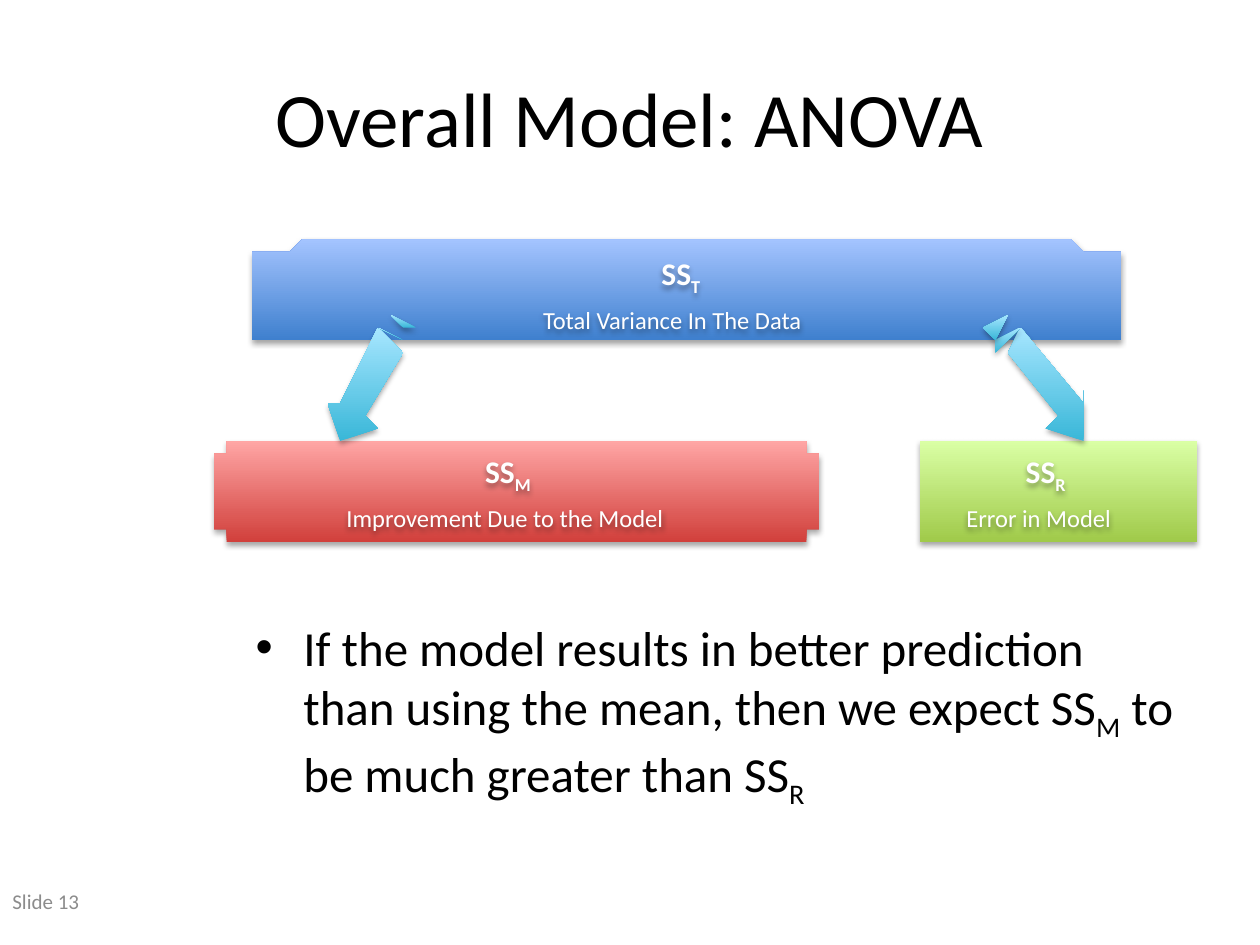
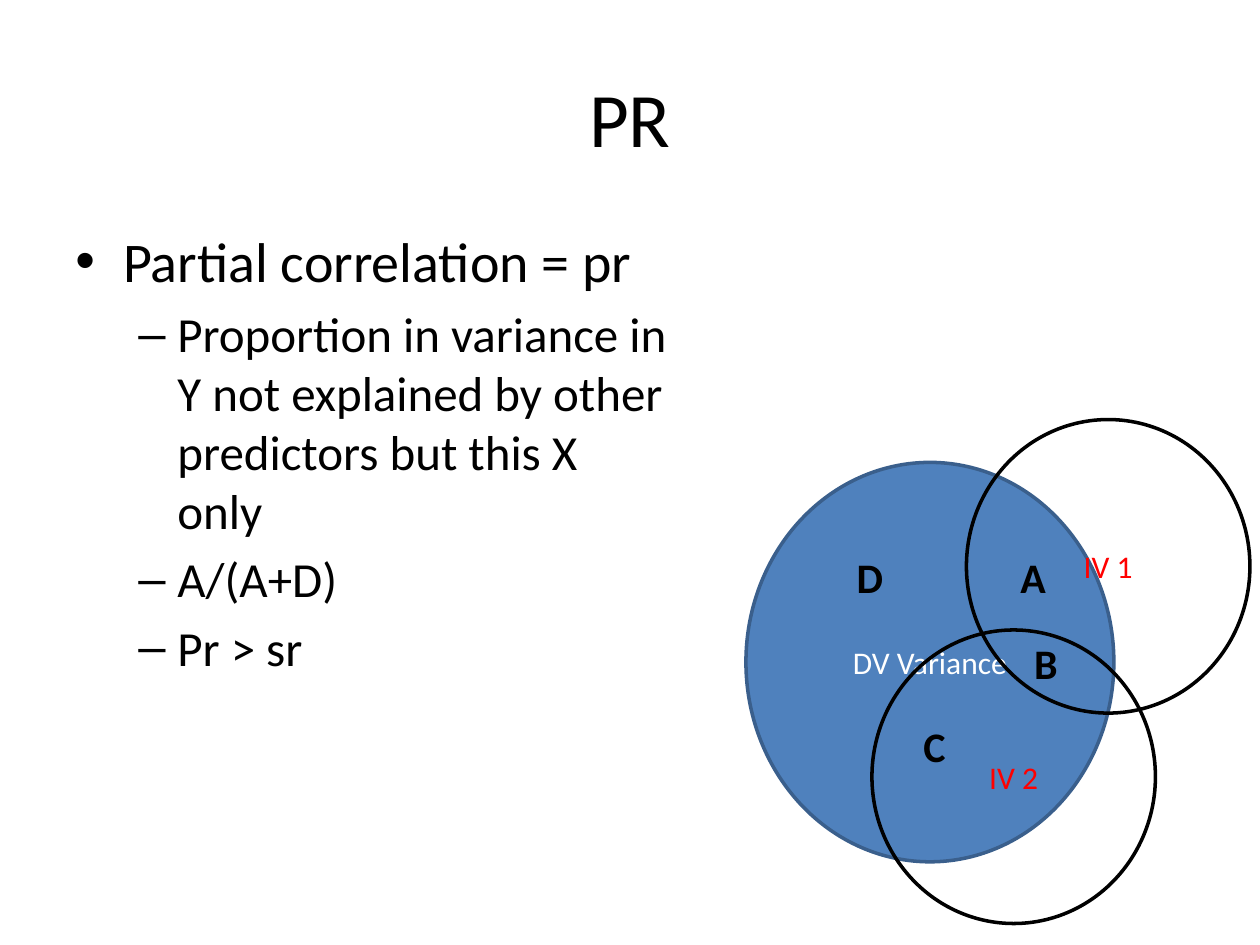
"""Build two statistics slides: the ANOVA variance split and partial correlation."""
import math
from dataclasses import dataclass
from typing import NamedTuple

from lxml import etree
from pptx import Presentation
from pptx import util as u
from pptx.dml import color
from pptx.enum import shapes, text
from pptx.oxml import ns

WIDTH, HEIGHT = u.Inches(10), u.Inches(7.5)
COLUMNS, ROWS = 100, 75


@dataclass(frozen=True)
class Theme:
    """Colours, font and type sizes of the deck."""
    font: str = "Calibri"
    ink: str = "000000"
    paper: str = "FFFFFF"
    muted: str = "8C8C8C"
    accent: str = "FF0000"
    variance: str = "4F81BD"
    variance_edge: str = "3A5F8C"
    blue: tuple = ("3F80CE", "A4C4FF")
    red: tuple = ("D1403C", "FFA6A5")
    green: tuple = ("A0CA4A", "DAFFA5")
    aqua: tuple = ("39B7D8", "A7E6FF")
    title: int = 44
    bullet: int = 32
    detail: int = 28
    region: int = 24
    label: int = 18
    caption: int = 14
    footer: int = 12


THEME = Theme()


class Area(NamedTuple):
    """A rectangle in grid columns and rows."""
    left: float
    top: float
    width: float
    height: float

    def emu(self) -> tuple:
        """Return the rectangle in slide units."""
        across, down = WIDTH / COLUMNS, HEIGHT / ROWS
        return tuple(round(v * s) for v, s in zip(self, (across, down) * 2))


class Style(NamedTuple):
    """The look of a run of text."""
    size: int
    ink: str = THEME.ink
    bold: bool = False


class Bullet(NamedTuple):
    """A list item with its mark and indents in inches."""
    words: str
    size: int
    mark: str = "–"
    margin: float = 0.81
    hang: float = 0.31


class Bar(NamedTuple):
    """A sum of squares with its label and caption."""
    area: Area
    corner: float
    gradient: tuple
    symbol: str
    symbol_span: tuple
    caption: str
    caption_span: tuple


class Circle(NamedTuple):
    """A circle of the Venn diagram."""
    area: Area
    words: str
    ink: str
    edge: str
    fill: str = ""


TITLE = Area(5, 3, 90, 12.5)
FOOTER = Area(0, 69.5, 9.4, 4)
BAR_HEIGHT, BAR_CURVE = 7.9, 1
CORNERS = ((1, 1), (0, 1), (0, 0), (1, 0))

BARS = (
    Bar(Area(72.8, 35.1, 22.6, BAR_HEIGHT), 2.1, THEME.green,
        "SS_R", (81.4, 4.5), "Error in Model", (76.7, 12.2)),
    Bar(Area(16.9, 35.1, 47.8, BAR_HEIGHT), 4.5, THEME.red,
        "SS_M", (38.5, 4.7), "Improvement Due to the Model", (27.5, 26.6)),
    Bar(Area(20.1, 19.4, 69.3, BAR_HEIGHT), 6.5, THEME.blue,
        "SS_T", (52.5, 4.4), "Total Variance In The Data", (43.1, 23.2)),
)
ARROWS = (
    ((29.6, 33.8), (28.9, 33.3), (31.7, 27.6), (30.1, 26.4),
     (27.2, 32.2), (26.4, 31.6), (26.9, 35.1)),
    ((32.2, 26.6), (30.5, 25.5), (30.3, 26.2), (31.9, 27.3)),
    ((32.6, 26), (30.9, 24.9), (30.7, 25.2), (32.3, 26.3)),
    ((86.4, 30.9), (85.6, 31.7), (81.2, 26.2), (79.5, 27.8),
     (83.7, 33.1), (82.9, 33.9), (86.4, 34.6)),
    ((80.6, 25.5), (78.8, 26.9), (79.3, 27.5), (81, 25.9)),
    ((80, 24.9), (78.4, 26.4), (78.6, 26.7), (80.3, 25.2)),
)
CIRCLES = (
    Circle(Area(59.2, 36.7, 29.2, 31.7), "DV Variance", THEME.paper,
           THEME.variance_edge, THEME.variance),
    Circle(Area(76.7, 33.3, 22.5, 23.3), "IV 1", THEME.accent, THEME.ink),
    Circle(Area(69.2, 50, 22.5, 23.3), "IV 2", THEME.accent, THEME.ink),
)
REGIONS = {
    "A": Area(80, 43.3, 4.3, 5),
    "B": Area(81.1, 50.1, 3.9, 5),
    "C": Area(72.3, 56.7, 3.8, 5),
    "D": Area(67, 43.3, 4.1, 5),
}
EXPECTATION = (
    Bullet("If the model results in better prediction than using the mean, "
           "then we expect SS_M_ to be much greater than SS_R",
           THEME.detail, "•", 0.38, 0.38),
)
PARTIAL = (
    Bullet("Partial correlation = pr", THEME.bullet, "•", 0.38, 0.38),
    Bullet("Proportion in variance in Y not explained by other predictors "
           "but this X only", THEME.detail),
    Bullet("A/(A+D)", THEME.detail),
    Bullet("Pr > sr", THEME.detail),
)


def apply(target, values: dict) -> None:
    """Set every named value on the target."""
    for name, value in values.items():
        setattr(target, name, value)


def rgb(code: str) -> color.RGBColor:
    """Turn a hex code into a colour."""
    return color.RGBColor.from_string(code)


def write(para, words: str, style: Style) -> None:
    """Add runs to a paragraph; parts between underscores are subscripts."""
    for index, part in enumerate(words.split("_")):
        span = para.add_run()
        span.text = part
        apply(span.font, {"name": THEME.font, "size": u.Pt(style.size),
                          "bold": style.bold})
        span.font.color.rgb = rgb(style.ink)
        if index % 2:
            span.font._element.set("baseline", "-25000")


def add_text(page, area: Area, words: str, style: Style, **frame):
    """Place one paragraph of text, with frame settings, and return its box."""
    box = page.shapes.add_textbox(*area.emu())
    apply(box.text_frame, {"word_wrap": True, **frame})
    write(box.text_frame.paragraphs[0], words, style)
    return box


def add_label(page, area: Area, words: str, style: Style, **frame):
    """Place a text that keeps to one line and return its box."""
    return add_text(page, area, words, style, word_wrap=False,
                    auto_size=text.MSO_AUTO_SIZE.SHAPE_TO_FIT_TEXT, **frame)


def add_title(page, words: str) -> None:
    """Place the slide title."""
    box = add_text(page, TITLE, words, Style(THEME.title),
                   vertical_anchor=text.MSO_ANCHOR.MIDDLE)
    box.text_frame.paragraphs[0].alignment = text.PP_ALIGN.CENTER


def add_bullets(page, area: Area, bullets: tuple) -> None:
    """Place a bulleted list."""
    frame = page.shapes.add_textbox(*area.emu()).text_frame
    frame.word_wrap = True
    for index, bullet in enumerate(bullets):
        para = frame.add_paragraph() if index else frame.paragraphs[0]
        props = para._p.get_or_add_pPr()
        props.set("marL", str(u.Inches(bullet.margin)))
        props.set("indent", str(-u.Inches(bullet.hang)))
        etree.SubElement(props, ns.qn("a:buFont"), typeface="Arial")
        etree.SubElement(props, ns.qn("a:buChar"), char=bullet.mark)
        if index:
            para.space_before = u.Pt(bullet.size * 0.2)
        write(para, bullet.words, Style(bullet.size))


def cast_shadow(shape) -> None:
    """Give a shape a soft shadow straight below it."""
    shape.shadow.inherit = False
    effects = shape._element.spPr.find(ns.qn("a:effectLst"))
    outer = etree.SubElement(effects, ns.qn("a:outerShdw"), blurRad="40000",
                             dist="23000", dir="5400000", rotWithShape="0")
    tone = etree.SubElement(outer, ns.qn("a:srgbClr"), val=THEME.ink)
    etree.SubElement(tone, ns.qn("a:alpha"), val="35000")


def add_outline(page, points, gradient: tuple) -> None:
    """Draw a closed outline with a vertical gradient and a shadow."""
    first, *rest = points
    builder = page.shapes.build_freeform(
        *first, scale=(WIDTH / COLUMNS, HEIGHT / ROWS))
    builder.add_line_segments(rest, close=True)
    shape = builder.convert_to_shape()
    shape.fill.gradient()
    shape.fill.gradient_angle = 90
    for stop, code, position in zip(shape.fill.gradient_stops, gradient, (0, 1)):
        stop.color.rgb = rgb(code)
        stop.position = position
    shape.line.fill.background()
    cast_shadow(shape)


def rounded(area: Area, across: float, down: float, steps: int = 12) -> list:
    """Return the points of a rectangle with elliptical corners."""
    points = []
    for quarter, (right, bottom) in enumerate(CORNERS):
        x = area.left + (area.width - across if right else across)
        y = area.top + (area.height - down if bottom else down)
        for step in range(steps + 1):
            angle = (quarter + step / steps) * math.pi / 2
            points.append((x + across * math.cos(angle),
                           y + down * math.sin(angle)))
    return points


def add_bar(page, bar: Bar) -> None:
    """Draw a bar with its symbol and caption."""
    add_outline(page, rounded(bar.area, bar.corner, BAR_CURVE), bar.gradient)
    flush = dict.fromkeys(
        ("margin_left", "margin_top", "margin_right", "margin_bottom"), 0)
    lines = (
        (bar.symbol, bar.symbol_span, 0.8, 3, Style(THEME.label, THEME.paper, True)),
        (bar.caption, bar.caption_span, 4.8, 2.3, Style(THEME.caption, THEME.paper)),
    )
    for words, (left, width), drop, height, style in lines:
        area = Area(left, bar.area.top + drop, width, height)
        cast_shadow(add_label(page, area, words, style, **flush))


def add_circle(page, circle: Circle) -> None:
    """Draw one circle of the Venn diagram."""
    shape = page.shapes.add_shape(shapes.MSO_SHAPE.OVAL, *circle.area.emu())
    shape.shadow.inherit = False
    if circle.fill:
        shape.fill.solid()
        shape.fill.fore_color.rgb = rgb(circle.fill)
    else:
        shape.fill.background()
    shape.line.color.rgb = rgb(circle.edge)
    shape.line.width = u.Pt(2)
    shape.text_frame.vertical_anchor = text.MSO_ANCHOR.MIDDLE
    para = shape.text_frame.paragraphs[0]
    para.alignment = text.PP_ALIGN.CENTER
    write(para, circle.words, Style(THEME.label, circle.ink))


def build_anova(page) -> None:
    """Show how the total variance splits into model and error."""
    add_text(page, FOOTER, "Slide 13", Style(THEME.footer, THEME.muted),
             vertical_anchor=text.MSO_ANCHOR.MIDDLE)
    add_title(page, "Overall Model: ANOVA")
    add_bullets(page, Area(19.3, 48.5, 75.7, 18.5), EXPECTATION)
    for bar in BARS:
        add_bar(page, bar)
    for points in ARROWS:
        add_outline(page, points, THEME.aqua)


def build_partial(page) -> None:
    """Explain the partial correlation with a Venn diagram."""
    add_title(page, "PR")
    for circle in CIRCLES:
        add_circle(page, circle)
    for letter, area in REGIONS.items():
        add_label(page, area, letter, Style(THEME.region, bold=True))
    add_bullets(page, Area(5, 17.5, 49.2, 49.5), PARTIAL)


def main() -> None:
    """Build and save the deck."""
    deck = Presentation()
    apply(deck, {"slide_width": WIDTH, "slide_height": HEIGHT})
    for build in (build_anova, build_partial):
        build(deck.slides.add_slide(deck.slide_layouts[6]))
    deck.save("out.pptx")


if __name__ == "__main__":
    main()
